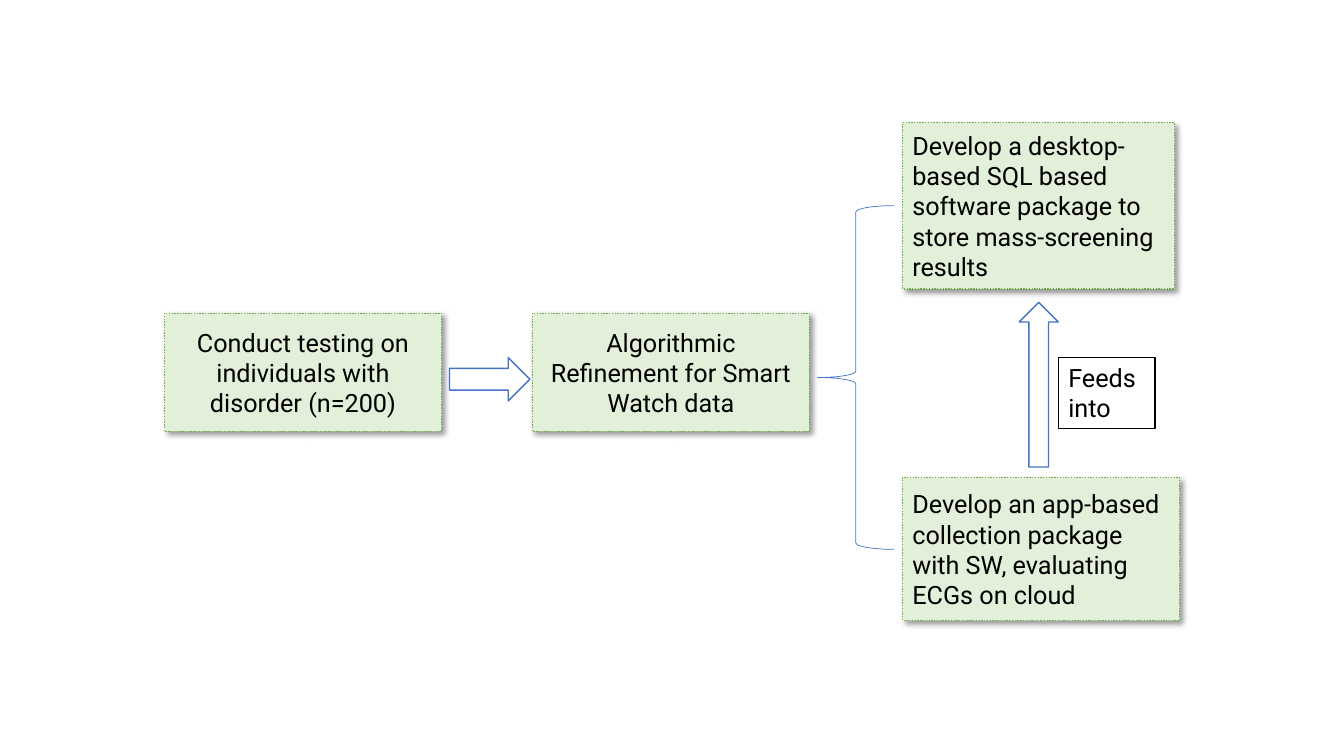
from lxml import etree
from pptx import Presentation
from pptx.dml.color import RGBColor
from pptx.enum import dml, shapes, text
from pptx.oxml import ns
from pptx.util import Pt

KIND = shapes.MSO_SHAPE
ALIGN = text.PP_ALIGN
BLUE, BLACK = "4472C4", "000000"


def tint(code):
    return RGBColor.from_string(code)


def draw(kind, area, line, width=1, fill=None, words="", align=ALIGN.LEFT):
    shape = slide.shapes.add_shape(kind, *[Pt(n) for n in area])
    shape.shadow.inherit = False
    if fill:
        shape.fill.solid()
        shape.fill.fore_color.rgb = tint(fill)
    else:
        shape.fill.background()
    shape.line.color.rgb = tint(line)
    shape.line.width = Pt(width)
    if words:
        frame = shape.text_frame
        frame.word_wrap = True
        frame.text = words
        for par in frame.paragraphs:
            par.alignment = align
            par.font.name = "Roboto"
            par.font.size = Pt(18)
            par.font.color.rgb = tint(BLACK)
    return shape


deck = Presentation()
deck.slide_width, deck.slide_height = Pt(960), Pt(540)
slide = deck.slides.add_slide(deck.slide_layouts[6])

# Green step boxes
wide = 198
steps = [
    ((117.4, 223.8, wide, 84.4), ALIGN.CENTER,
     "Conduct testing on individuals with disorder (n=200)"),
    ((380.2, 223.8, wide, 84.4), ALIGN.CENTER,
     "Algorithmic Refinement for Smart Watch data"),
    ((644.6, 87.6, 194.4, 118.8), ALIGN.LEFT,
     "Develop a desktop-based SQL based software package to store "
     "mass-screening results"),
    ((644.6, 341.1, wide, 102.2), ALIGN.LEFT,
     "Develop an app-based collection package with SW, evaluating "
     "ECGs on cloud"),
]
for area, align, words in steps:
    box = draw(KIND.RECTANGLE, area, "70AD47", 1, "E2F0D9", words, align)
    box.line.dash_style = dml.MSO_LINE.ROUND_DOT

    # Soft shadow towards the lower right
    effect = box._element.spPr.find(ns.qn("a:effectLst"))
    shade = etree.SubElement(
        effect, ns.qn("a:outerShdw"), blurRad=str(Pt(4)), dist=str(Pt(3)),
        dir="2700000", algn="tl", rotWithShape="0")
    ink = etree.SubElement(shade, ns.qn("a:srgbClr"), val=BLACK)
    etree.SubElement(ink, ns.qn("a:alpha"), val="40000")

# Arrows and brace
draw(KIND.RIGHT_ARROW, (321.1, 255.4, 57.4, 31), BLUE)
draw(KIND.LEFT_BRACE, (584, 146.9, 54.7, 245.5), BLUE, 0.5)
draw(KIND.UP_ARROW, (728, 216, 28, 117.6), BLUE)

# Arrow label
label = draw(KIND.RECTANGLE, (756, 255.3, 69.1, 51), BLACK, words="Feeds\ninto")
label.text_frame.vertical_anchor = text.MSO_ANCHOR.TOP
label.text_frame.auto_size = text.MSO_AUTO_SIZE.SHAPE_TO_FIT_TEXT

deck.save("out.pptx")
